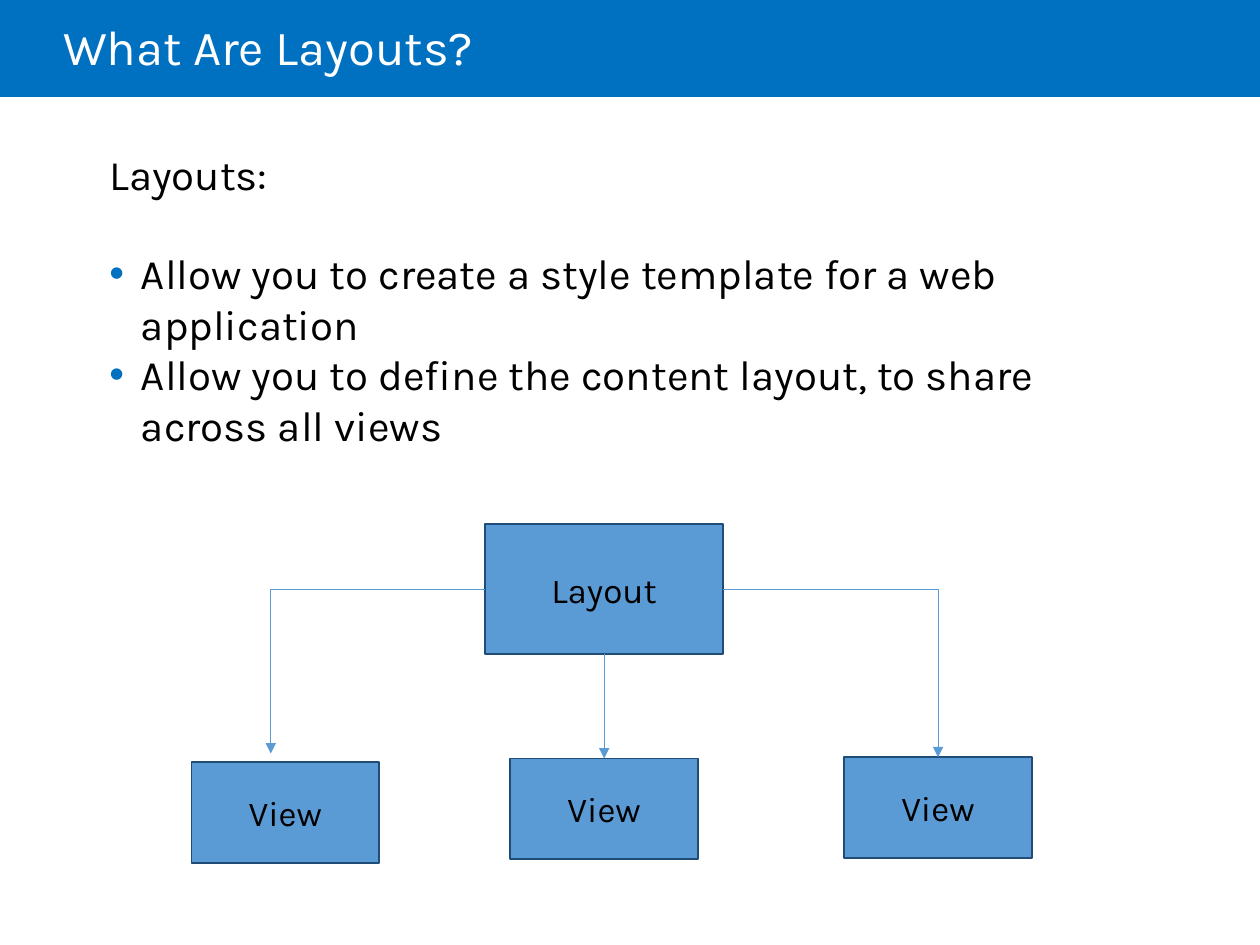
from lxml import etree
from pptx import Presentation
from pptx.dml.color import RGBColor
from pptx.enum.shapes import MSO_CONNECTOR, MSO_SHAPE
from pptx.enum.text import MSO_ANCHOR, MSO_AUTO_SIZE, PP_ALIGN
from pptx.oxml.ns import qn
from pptx.util import Inches, Pt

RECTANGLE = MSO_SHAPE.RECTANGLE
STRAIGHT, ELBOW = MSO_CONNECTOR.STRAIGHT, MSO_CONNECTOR.ELBOW
MIDDLE = MSO_ANCHOR.MIDDLE
LEFT, CENTER = PP_ALIGN.LEFT, PP_ALIGN.CENTER
NO_FIT, GROW = MSO_AUTO_SIZE.NONE, MSO_AUTO_SIZE.SHAPE_TO_FIT_TEXT
TOP_SIDE, LEFT_SIDE, BOTTOM_SIDE, RIGHT_SIDE = range(4)

COLORS = {
    "band": "0070C0",
    "box": "5B9BD5",
    "outline": "1F4D78",
    "text": "000000",
    "title": "FFFFFF",
}
FONT = "Karla"
TITLE_ONLY = 5


def color(name):
    return RGBColor.from_string(COLORS[name])


def write(para, text, size=20, ink="text", align=LEFT, after=0, spacing=1.0):
    para.alignment = align
    para.space_before = Pt(0)
    para.space_after = Pt(after)
    para.line_spacing = spacing
    span = para.add_run()
    span.text = text
    span.font.name = FONT
    span.font.size = Pt(size)
    span.font.color.rgb = color(ink)


def add_bullet(para):
    properties = para._p.get_or_add_pPr()
    properties.set("marL", str(Inches(0.25)))
    properties.set("indent", str(-Inches(0.25)))
    bullet_color = etree.SubElement(properties, qn("a:buClr"))
    etree.SubElement(bullet_color, qn("a:srgbClr"), val=COLORS["band"])
    etree.SubElement(properties, qn("a:buFont"), typeface="Arial")
    etree.SubElement(properties, qn("a:buChar"), char="•")


class LayoutSlide:
    def __init__(self, deck):
        self.page = deck.slides.add_slide(deck.slide_layouts[TITLE_ONLY])
        self.shapes = self.page.shapes

    def rectangle(self, left, top, width, height, fill):
        box = self.shapes.add_shape(
            RECTANGLE, Inches(left), Inches(top), Inches(width), Inches(height))
        box.shadow.inherit = False
        box.fill.solid()
        box.fill.fore_color.rgb = color(fill)
        return box

    def band(self):
        box = self.rectangle(0, 0, 10, 0.77, "band")
        box.line.fill.background()
        self.shapes._spTree.insert(2, box._element)

    def title(self, text):
        box = self.shapes.title
        box.left, box.top = Inches(0.5), Inches(0)
        box.width, box.height = Inches(8.5), Inches(0.81)
        frame = box.text_frame
        frame.auto_size = NO_FIT
        frame.margin_left = 0
        frame.vertical_anchor = MIDDLE
        write(frame.paragraphs[0], text, size=28, ink="title", spacing=0.85)

    def body(self, heading, bullets):
        box = self.shapes.add_textbox(
            Inches(0.77), Inches(1.13), Inches(8.42), Inches(2.52))
        frame = box.text_frame
        frame.word_wrap = True
        frame.auto_size = GROW
        write(frame.paragraphs[0], heading, size=24, after=28)
        for text in bullets:
            para = frame.add_paragraph()
            write(para, text, size=24)
            add_bullet(para)

    def node(self, text, left, top, width, height):
        box = self.rectangle(left, top, width, height, "box")
        box.line.color.rgb = color("outline")
        box.line.width = Pt(1)
        box.text_frame.vertical_anchor = MIDDLE
        write(box.text_frame.paragraphs[0], text, align=CENTER, after=10)
        return box

    def arrow(self, kind, source, side, target=None, end=(0, 0)):
        line = self.shapes.add_connector(kind, 0, 0, Inches(end[0]), Inches(end[1]))
        line.begin_connect(source, side)
        if target is not None:
            line.end_connect(target, TOP_SIDE)
        line.line.color.rgb = color("box")
        line.line.width = Pt(0.5)
        properties = line._element.spPr
        if kind == ELBOW:
            properties.find(qn("a:prstGeom")).set("prst", "bentConnector2")
        etree.SubElement(properties.find(qn("a:ln")), qn("a:tailEnd"), type="triangle")
        etree.SubElement(properties, qn("a:effectLst"))


def main():
    deck = Presentation()
    deck.slide_width, deck.slide_height = Inches(10), Inches(7.5)
    slide = LayoutSlide(deck)
    slide.band()
    slide.title("What Are Layouts?")

    layout = slide.node("Layout", 3.85, 4.16, 1.89, 1.03)
    view_places = [(1.52, 6.05), (4.05, 6.02), (6.7, 6.01)]
    views = [slide.node("View", left, top, 1.49, 0.8) for left, top in view_places]
    slide.arrow(ELBOW, layout, LEFT_SIDE, end=(2.15, 5.98))
    slide.arrow(STRAIGHT, layout, BOTTOM_SIDE, target=views[1])
    slide.arrow(ELBOW, layout, RIGHT_SIDE, target=views[2])

    slide.body("Layouts:", [
        "Allow you to create a style template for a web application",
        "Allow you to define the content layout, to share across all views",
    ])
    deck.save("out.pptx")


if __name__ == "__main__":
    main()
